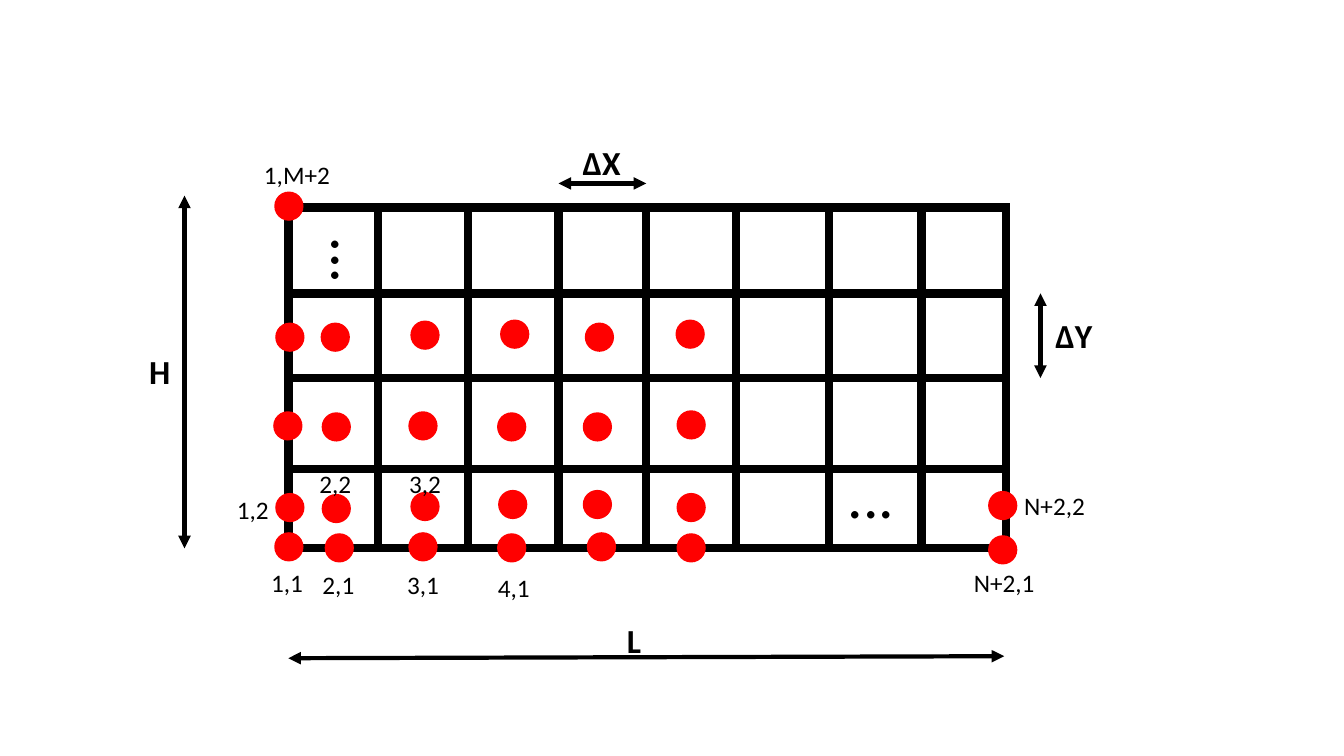
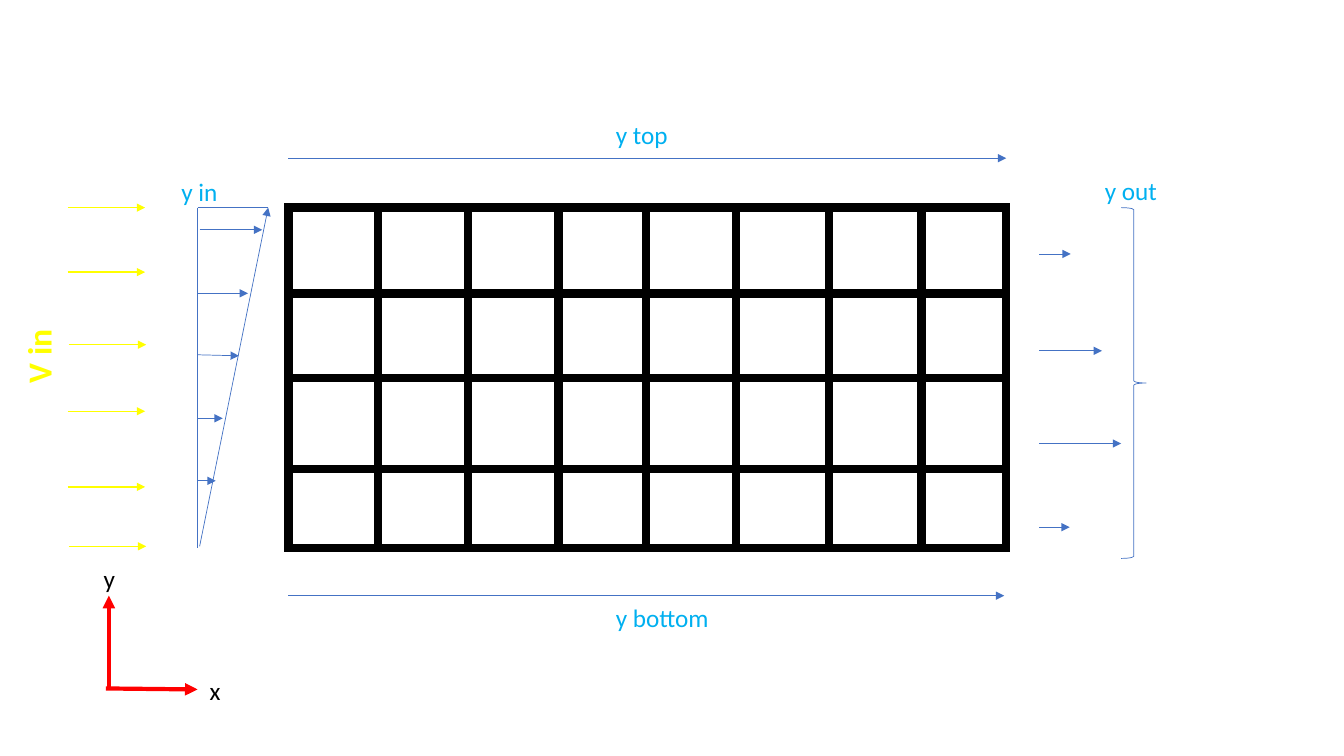
import dataclasses

import lxml.etree
import pptx
import pptx.dml.color
import pptx.enum.shapes
import pptx.enum.text
import pptx.oxml.ns
import pptx.util

Inches = pptx.util.Inches
SHAPE = pptx.enum.shapes.MSO_SHAPE


@dataclasses.dataclass(frozen=True)
class Theme:
    font: str = "Calibri"
    black: str = "000000"
    red: str = "FF0000"
    yellow: str = "FFFF00"
    blue: str = "4472C4"
    cyan: str = "00B0F0"
    small: int = 18
    large: int = 24
    huge: int = 44
    thin: float = 0.5
    fine: float = 1
    thick: float = 3
    heavy: float = 6


THEME = Theme()
LEFT, RIGHT, TOP, BASE = 2.86, 9.98, 2.06, 5.44
COLS = [3.75, 4.64, 5.54, 6.41, 7.3, 8.22, 9.14]
ROWS = [2.91, 3.75, 4.65]
DOT = 0.29


def tint(code):
    return pptx.dml.color.RGBColor.from_string(code)


def add_tag(parent, name, **attrs):
    return lxml.etree.SubElement(parent, pptx.oxml.ns.qn(name), **attrs)


def write(frame, text, size=THEME.small, color=THEME.black, bold=False):
    frame.word_wrap = False
    frame.auto_size = pptx.enum.text.MSO_AUTO_SIZE.SHAPE_TO_FIT_TEXT
    run = frame.paragraphs[0].add_run()
    run.text = text
    run.font.name = THEME.font
    run.font.size = pptx.util.Pt(size)
    run.font.bold = bold
    run.font.color.rgb = tint(color)


class Deck:
    def __init__(self, theme):
        self.theme = theme
        self.file = pptx.Presentation()
        self.file.slide_width = Inches(13.33)
        self.file.slide_height = Inches(7.5)
        self.slide = None

    def page(self):
        self.slide = self.file.slides.add_slide(self.file.slide_layouts[6])

    def text(self, text, x, y, w, h=0.4, turn=0, **style):
        box = self.slide.shapes.add_textbox(*map(Inches, (x, y, w, h)))
        box.rotation = turn
        write(box.text_frame, text, **style)

    def stroke(self, item, color, width):
        item.line.color.rgb = tint(color)
        item.line.width = pptx.util.Pt(width)
        ln = item.line._get_or_add_ln()
        add_tag(ln, "a:miter", lim="800000")
        return ln

    def line(self, x1, y1, x2, y2, color, width, ends=""):
        kind = pptx.enum.shapes.MSO_CONNECTOR.STRAIGHT
        item = self.slide.shapes.add_connector(kind, *map(Inches, (x1, y1, x2, y2)))
        ln = self.stroke(item, color, width)
        for end in ends.split():
            add_tag(ln, f"a:{end}End", type="triangle")
        add_tag(item._element.spPr, "a:effectLst")

    def arrow(self, x1, y1, x2, y2, color=THEME.blue, width=THEME.thin):
        self.line(x1, y1, x2, y2, color, width, "tail")

    def span(self, x1, y1, x2, y2):
        self.line(x1, y1, x2, y2, self.theme.black, self.theme.thick, "head tail")

    def shape(self, kind, x, y, w, h):
        item = self.slide.shapes.add_shape(kind, *map(Inches, (x, y, w, h)))
        item.shadow.inherit = False
        return item

    def frame(self, kind, x, y, w, h, color, width):
        item = self.shape(kind, x, y, w, h)
        item.fill.background()
        self.stroke(item, color, width)

    def dot(self, x, y):
        item = self.shape(SHAPE.OVAL, x, y, DOT, DOT)
        item.fill.solid()
        item.fill.fore_color.rgb = tint(self.theme.red)
        item.line.fill.background()

    def mesh(self):
        pen = self.theme.black, self.theme.heavy
        self.frame(SHAPE.RECTANGLE, LEFT, TOP, RIGHT - LEFT, BASE - TOP, *pen)
        for x in COLS:
            self.line(x, TOP, x, BASE, *pen)
        for y in ROWS:
            self.line(LEFT, y, RIGHT, y, *pen)


def draw_nodes(deck):
    deck.page()
    deck.mesh()
    deck.span(LEFT, 6.53, 9.96, 6.51)
    deck.span(1.83, 1.94, 1.83, BASE)
    deck.span(COLS[2], 1.82, COLS[3], 1.82)
    deck.span(10.32, ROWS[0], 10.32, ROWS[1])
    for text, x, y, w in [("L", 6.12, 6.1, 0.34), ("H", 1.38, 3.43, 0.41),
                          ("∆X", 5.68, 1.36, 0.58), ("∆Y", 10.37, 3.08, 0.57)]:
        deck.text(text, x, y, w, 0.5, size=THEME.large, bold=True)

    nodes = [
        ([2.72, 3.22, 4.05, 4.93, 5.82, 6.71], [5.28, 5.29, 5.28, 5.29, 5.28, 5.29]),
        ([2.73, 3.19, 4.07, 4.94, 5.78, 6.71], [4.89, 4.9, 4.88, 4.86, 4.86, 4.89]),
        ([2.71, 3.19, 4.05, 4.93, 5.78, 6.71], [4.08, 4.09, 4.08, 4.09, 4.09, 4.07]),
        ([2.73, 3.18, 4.07, 4.96, 5.8, 6.7], [3.2, 3.2, 3.18, 3.17, 3.2, 3.17]),
        ([9.8, 9.8, 2.72], [5.31, 4.87, 1.9]),
    ]
    for xs, ys in nodes:
        for x, y in zip(xs, ys):
            deck.dot(x, y)

    for text, x, y, w in [
        ("1,1", 2.59, 5.58, 0.52), ("2,1", 3.1, 5.6, 0.52),
        ("3,1", 3.94, 5.6, 0.52), ("4,1", 4.84, 5.63, 0.52),
        ("1,2", 2.25, 4.85, 0.52), ("2,2", 3.07, 4.6, 0.52),
        ("3,2", 3.96, 4.6, 0.52), ("N+2,1", 9.56, 5.58, 0.81),
        ("N+2,2", 10.06, 4.82, 0.81), ("1,M+2", 2.52, 1.53, 0.86),
    ]:
        deck.text(text, x, y, w)
    for x, y, turn in [(8.31, 4.48, 0), (2.78, 2.16, 270)]:
        deck.text("...", x, y, 0.67, 0.84, turn, size=THEME.huge)


def draw_flow(deck):
    deck.page()
    deck.mesh()
    deck.arrow(1.08, 6.84, 1.08, 5.91, THEME.red, THEME.thick)
    deck.arrow(1.05, 6.83, 1.96, 6.84, THEME.red, THEME.thick)
    deck.text("y", 0.93, 5.54, 0.32)
    deck.text("x", 1.98, 6.65, 0.31)

    for x, y in [(0.67, 2.06), (0.67, 2.7), (0.68, 3.42),
                 (0.67, 4.08), (0.67, 4.83), (0.68, 5.42)]:
        deck.arrow(x, y, x + 0.77, y, THEME.yellow, THEME.fine)
    deck.text("V in", 0.01, 3.28, 0.74, 0.5, 270,
              size=THEME.large, color=THEME.yellow, bold=True)

    wall = 1.96
    deck.line(wall, TOP, wall, BASE, THEME.blue, THEME.thin)
    deck.line(wall, TOP, 2.66, TOP, THEME.blue, THEME.thin)
    deck.arrow(1.98, 5.42, 2.66, TOP)
    deck.arrow(wall, 3.52, 2.37, 3.53)
    for x1, x2, y in [
        (1.98, 2.6, 2.28), (wall, 2.46, 2.91), (wall, 2.21, 4.15),
        (wall, 2.14, 4.77), (LEFT, RIGHT, 1.57), (LEFT, 9.96, 5.91),
        (10.31, 10.62, 2.52), (10.31, 10.93, 3.48),
        (10.31, 11.12, 4.4), (10.31, 10.61, 5.23),
    ]:
        deck.arrow(x1, y, x2, y)
    deck.frame(SHAPE.RIGHT_BRACE, 11.12, TOP, 0.25, 3.48, THEME.blue, THEME.thin)
    for text, x, y, w in [("y in", 1.7, 1.7, 0.66), ("y top", 6.01, 1.13, 0.81),
                          ("y bottom", 6.01, 5.93, 1.23), ("y out", 10.86, 1.69, 0.82)]:
        deck.text(text, x, y, w, color=THEME.cyan)


def main():
    deck = Deck(THEME)
    draw_nodes(deck)
    draw_flow(deck)
    deck.file.save("out.pptx")


if __name__ == "__main__":
    main()
